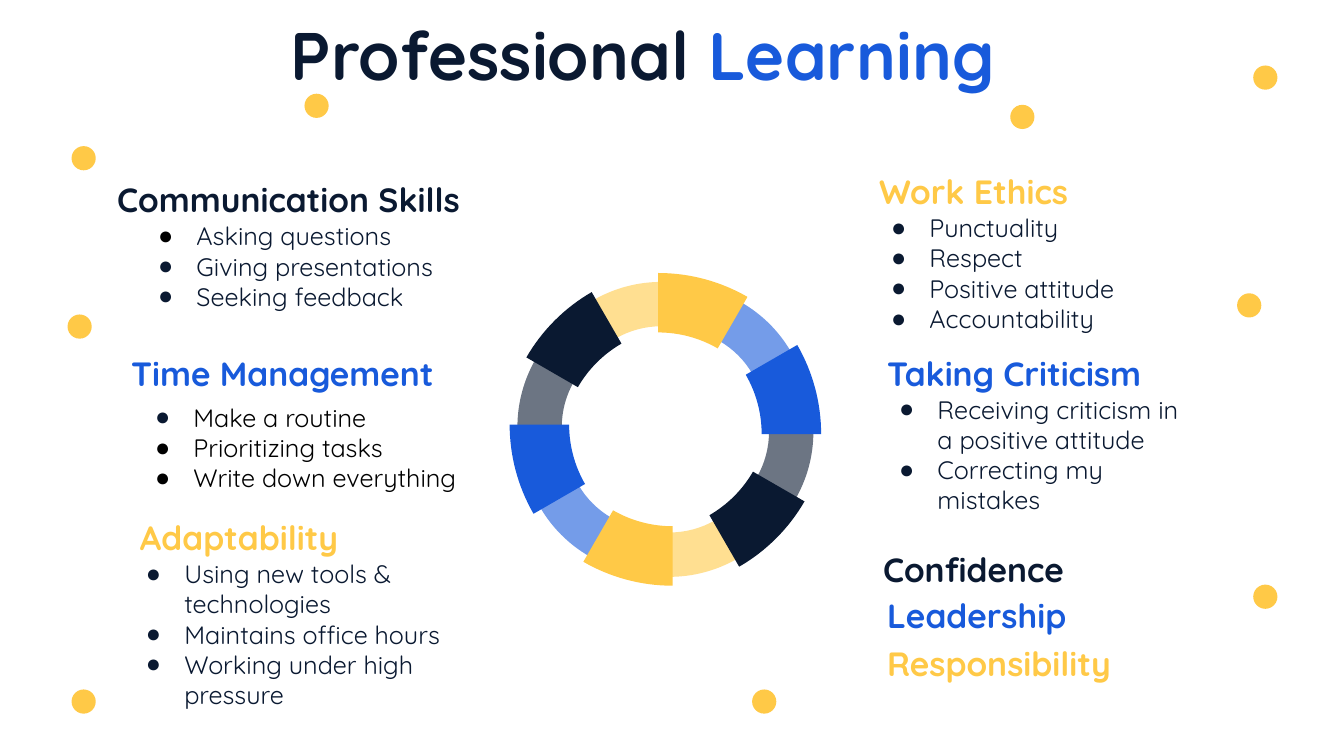
from math import cos, radians, sin, tan

from lxml.etree import SubElement
from pptx import Presentation
from pptx.dml.color import RGBColor
from pptx.enum.shapes import MSO_SHAPE as Shape
from pptx.enum.text import MSO_ANCHOR as Anchor, PP_ALIGN as Align
from pptx.oxml.ns import qn
from pptx.util import Inches, Pt


class Theme:
    font, bullet_font = "Quicksand", "Arial"
    navy, blue, yellow, black = "0A1931", "185ADB", "FFC947", "000000"
    grey, light_blue, light_yellow = "6C7583", "749CE9", "FFDF91"
    title_size, heading_size, body_size = 48, 24, 18


TITLE = [("Professional", Theme.navy), (" Learning", Theme.blue)]
TITLE_BOX = (2.33, 0.08, 8.09, 0.91)

# Text, colour, alignment, box (left, top, width)
HEADINGS = [
    ("Communication Skills", Theme.navy, Align.RIGHT, (0.74, 1.73, 3.92)),
    ("Time Management", Theme.blue, Align.RIGHT, (0.73, 3.45, 3.67)),
    ("Adaptability", Theme.yellow, Align.LEFT, (1.29, 5.08, 3.24)),
    ("Work Ethics", Theme.yellow, Align.LEFT, (8.62, 1.65, 2.46)),
    ("Taking Criticism", Theme.blue, Align.LEFT, (8.7, 3.45, 3.3)),
    ("Confidence", Theme.navy, Align.LEFT, (8.66, 5.4, 2.46)),
    ("Leadership", Theme.blue, Align.LEFT, (8.7, 5.85, 2.46)),
    ("Responsibility", Theme.yellow, Align.LEFT, (8.7, 6.33, 2.46)),
]
HEADING_HEIGHT = 0.5

# Items, text colour, first bullet colour, other bullets colour, box
LISTS = [
    (["Asking questions", "Giving presentations", "Seeking feedback"],
     Theme.navy, Theme.black, Theme.navy, (1.35, 2.14, 3.3, 0.77)),
    (["Make a routine", "Prioritizing tasks", "Write down everything"],
     Theme.black, Theme.navy, Theme.black, (1.32, 3.94, 3.67, 0.77)),
    (["Using new tools & technologies", "Maintains office hours",
      "Working under high pressure"],
     Theme.navy, Theme.navy, Theme.navy, (1.23, 5.49, 3.3, 1.62)),
    (["Punctuality", "Respect", "Positive attitude", "Accountability"],
     Theme.navy, Theme.navy, Theme.navy, (8.62, 2.06, 3.3, 0.77)),
    (["Receiving criticism in a positive attitude", "Correcting my mistakes"],
     Theme.navy, Theme.navy, Theme.navy, (8.7, 3.86, 3.3, 0.77)),
]

DOT_CENTRES = [
    (3.14, 1.05), (0.83, 1.57), (0.79, 3.24), (10.14, 1.16), (12.39, 3.03),
    (12.55, 0.77), (7.58, 6.96), (0.83, 6.96), (12.55, 5.92),
]
DOT_SIZE = 0.24

RING_CENTRE = (6.6, 4.26)
WEDGE_ANGLE = 30
# Inner radius, outer radius, shift along the middle of the wedge, twist of
# that shift, first slot, colours of every second slot (clockwise from the top)
RING_LAYERS = [
    (0.9, 1.34, 0.13, -4, 1,
     [Theme.light_blue, Theme.grey, Theme.light_yellow]),
    (1.18, 1.77, -0.23, 3, 0, [Theme.yellow, Theme.blue, Theme.navy]),
]

deck = Presentation()
deck.slide_width, deck.slide_height = Inches(13.33), Inches(7.5)
page = deck.slides.add_slide(deck.slide_layouts[6])


def paint(shape, colour):
    shape.shadow.inherit = False
    shape.fill.solid()
    shape.fill.fore_color.rgb = RGBColor.from_string(colour)
    shape.line.fill.background()


def polar(centre, radius, angle):
    """Point at a clockwise angle from straight up."""
    turn = radians(angle)
    return centre[0] + radius * sin(turn), centre[1] - radius * cos(turn)


def bend(line, controls, origin):
    """Turn a straight outline segment into a cubic curve."""
    line.tag = qn("a:cubicBezTo")
    for index, control in enumerate(controls):
        point = line.makeelement(qn("a:pt"))
        for axis, value, start in zip("xy", control, origin):
            point.set(axis, str(Inches(value) - start))
        line.insert(index, point)


def add_wedge(start, inner, outer, centre, colour):
    end = start + WEDGE_ANGLE
    corners = [polar(centre, radius, angle) for radius, angle in
               ((outer, start), (outer, end), (inner, end), (inner, start))]
    first, *others = [(Inches(x), Inches(y)) for x, y in corners]
    builder = page.shapes.build_freeform(*first)
    builder.add_line_segments(others, close=True)
    wedge = builder.convert_to_shape()
    paint(wedge, colour)

    lines = list(wedge._element.iter(qn("a:lnTo")))
    reach = 4 / 3 * tan(radians(WEDGE_ANGLE / 4))
    origin = (wedge.left, wedge.top)
    outer_bend = [polar(corners[0], reach * outer, start + 90),
                  polar(corners[1], reach * outer, end - 90)]
    inner_bend = [polar(corners[2], reach * inner, end - 90),
                  polar(corners[3], reach * inner, start + 90)]
    bend(lines[0], outer_bend, origin)
    bend(lines[2], inner_bend, origin)


def add_bullet(para, colour):
    props = para._p.get_or_add_pPr()
    props.set("marL", str(Inches(0.5)))
    props.set("indent", str(Inches(-0.38)))
    tint = SubElement(props, qn("a:buClr"))
    SubElement(tint, qn("a:srgbClr")).set("val", colour)
    SubElement(props, qn("a:buFont")).set("typeface", Theme.bullet_font)
    SubElement(props, qn("a:buChar")).set("char", "●")


def add_text(paras, box, size, bold=False, align=Align.LEFT, bullets=()):
    """Each paragraph is a list of (text, colour) runs."""
    frame = page.shapes.add_textbox(*map(Inches, box)).text_frame
    frame.word_wrap = True
    frame.vertical_anchor = Anchor.TOP
    for index, runs in enumerate(paras):
        para = frame.add_paragraph() if index else frame.paragraphs[0]
        para.alignment = align
        if bullets:
            add_bullet(para, bullets[index])
        for text, colour in runs:
            span = para.add_run()
            span.text = text
            span.font.name = Theme.font
            span.font.size = Pt(size)
            span.font.bold = bold
            span.font.color.rgb = RGBColor.from_string(colour)


for x, y in DOT_CENTRES:
    corner = (x - DOT_SIZE / 2, y - DOT_SIZE / 2)
    dot = page.shapes.add_shape(
        Shape.OVAL, *map(Inches, (*corner, DOT_SIZE, DOT_SIZE)))
    paint(dot, Theme.yellow)

for inner, outer, shift, twist, first_slot, colours in RING_LAYERS:
    for step, colour in enumerate(colours * 2):
        start = (first_slot + 2 * step) * WEDGE_ANGLE
        centre = polar(RING_CENTRE, shift, start + WEDGE_ANGLE / 2 + twist)
        add_wedge(start, inner, outer, centre, colour)

for items, colour, first_bullet, other_bullet, box in LISTS:
    add_text([[(item, colour)] for item in items], box, Theme.body_size,
             bullets=[first_bullet] + [other_bullet] * (len(items) - 1))

for text, colour, align, box in HEADINGS:
    add_text([[(text, colour)]], (*box, HEADING_HEIGHT), Theme.heading_size,
             bold=True, align=align)

add_text([TITLE], TITLE_BOX, Theme.title_size, bold=True, align=Align.CENTER)

deck.save("out.pptx")
